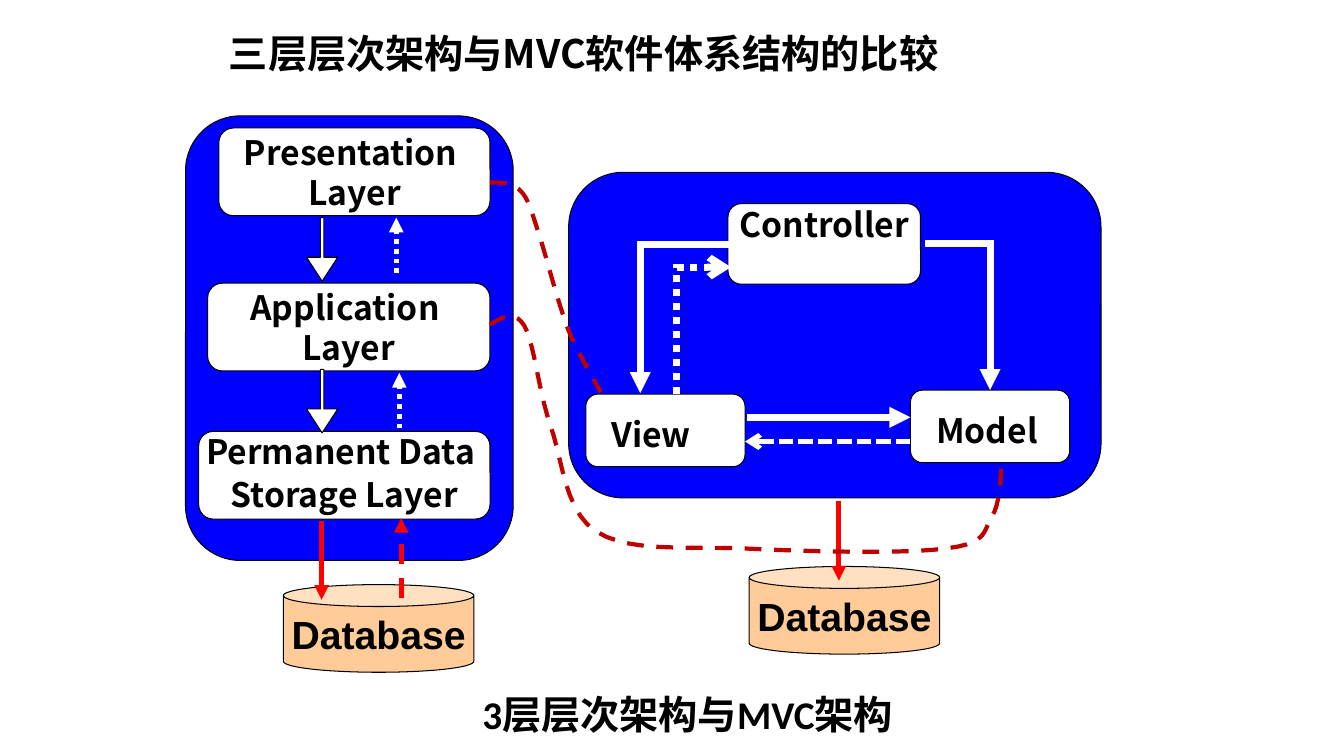
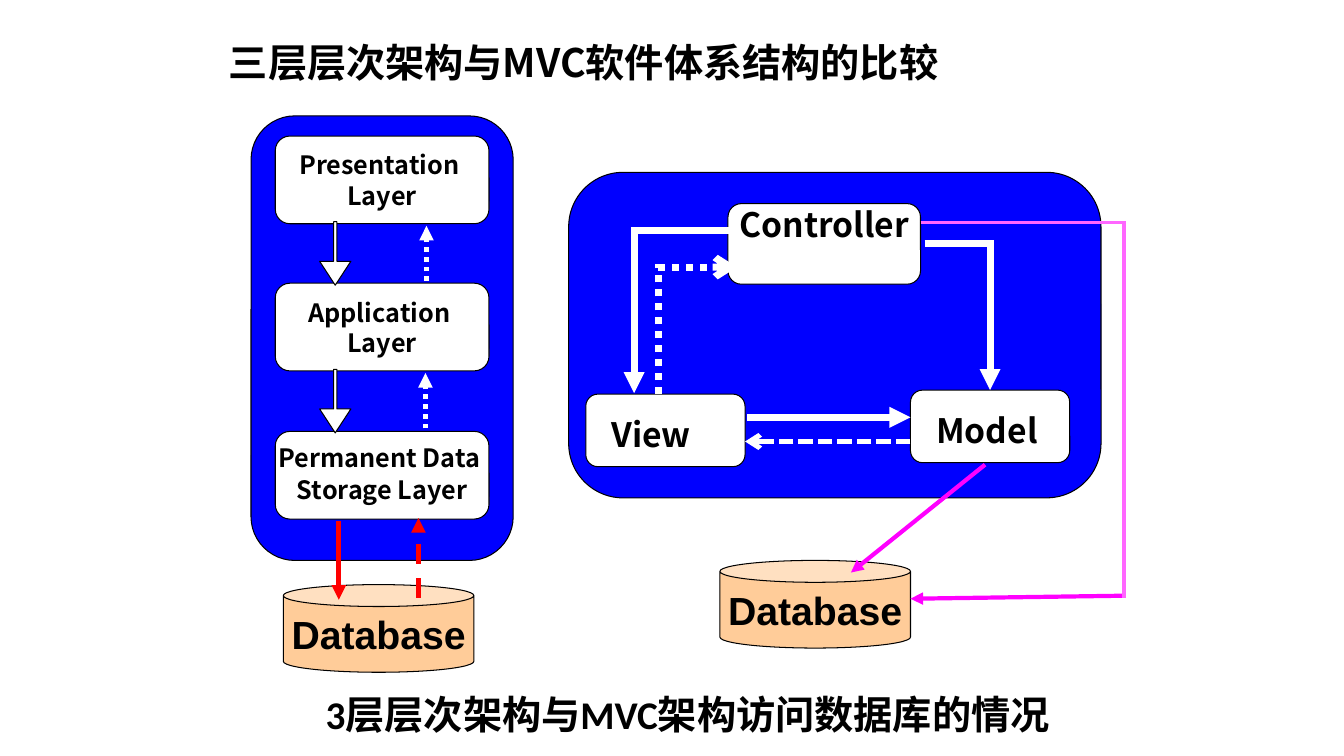
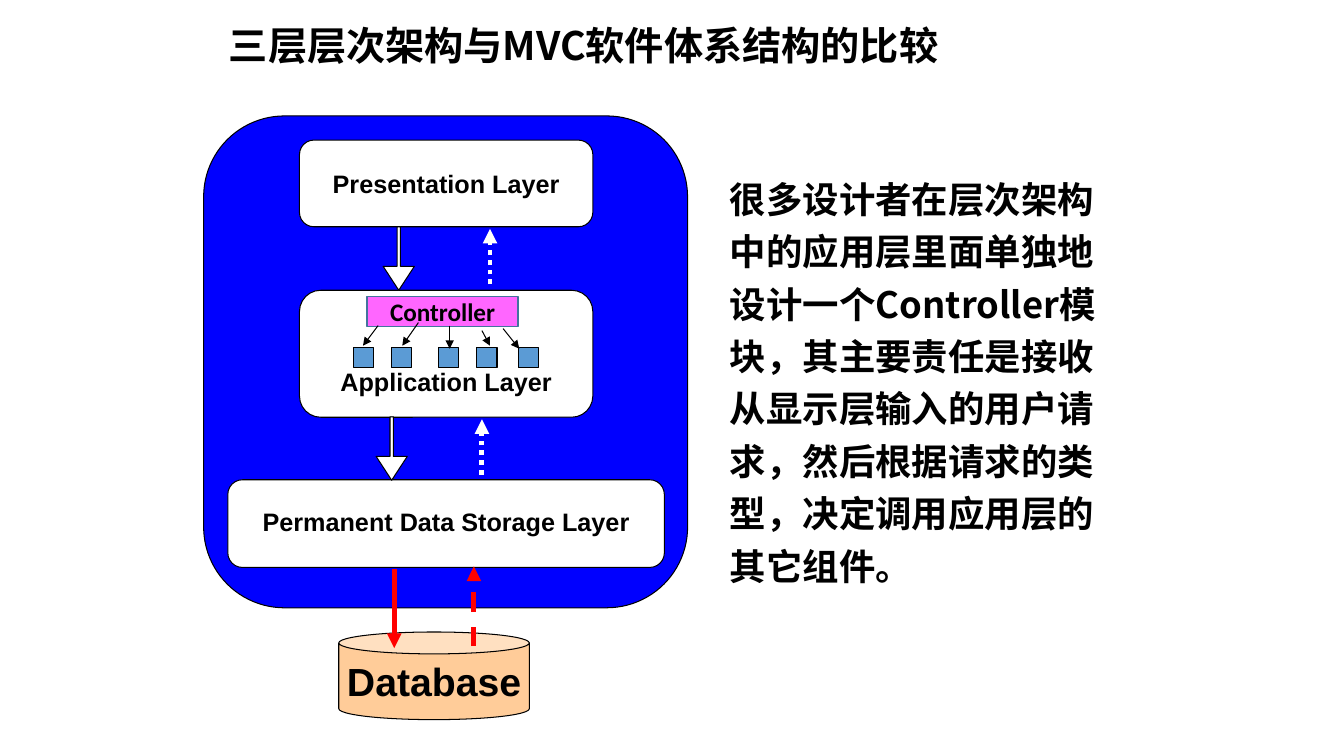
from math import hypot

from lxml import etree
from pptx import Presentation
from pptx import util as u
from pptx.dml.color import RGBColor
from pptx.enum import dml, shapes, text
from pptx.oxml.ns import qn

# Shared look
BLACK = RGBColor(0x00, 0x00, 0x00)
WHITE = RGBColor(0xFF, 0xFF, 0xFF)
BLUE = RGBColor(0x00, 0x00, 0xFF)
PEACH = RGBColor(0xFF, 0xCC, 0x99)
RED = RGBColor(0xFF, 0x00, 0x00)
DARK_RED = RGBColor(0xC0, 0x00, 0x00)
MAGENTA = RGBColor(0xFF, 0x00, 0xFF)
PINK = RGBColor(0xFF, 0x66, 0xFF)
SKY = RGBColor(0x5B, 0x9B, 0xD5)
STEEL = RGBColor(0x43, 0x73, 0x9E)
CJK, SANS, CAPTION_FONT = "Noto Sans CJK SC", "Arial", "Calibri"
PRESET = shapes.MSO_SHAPE
DASH, DOT, SHORT_DASH = dml.MSO_LINE.DASH, dml.MSO_LINE.ROUND_DOT, dml.MSO_LINE.SQUARE_DOT
ALIGN, ANCHOR = text.PP_ALIGN, text.MSO_ANCHOR
CORNER = 0.167
DATABASE_SIZE = (1.89, 0.87)

# Content
TITLE = "三层层次架构与MVC软件体系结构的比较"
NOTE = ("很多设计者在层次架构中的应用层里面单独地设计一个Controller模块，"
        "其主要责任是接收从显示层输入的用户请求，然后根据请求的类型，决定调用应用层的其它组件。")
SPLIT_NAMES = [["Presentation ", "Layer"], ["Application ", "Layer"],
               ["Permanent Data ", "Storage Layer"]]
LONG_NAMES = [["Presentation Layer"], ["Application Layer"], ["Permanent Data Storage Layer"]]

# Layer stacks: boxes are left, top, width, height; x values belong to the two gaps
STACKS = [
    dict(panel=(1.84, 1.15, 3.25, 4.41), names=SPLIT_NAMES, size=24, font=CJK,
         boxes=[(2.17, 1.27, 2.69, 0.87), (2.06, 2.81, 2.8, 0.87), (1.97, 4.28, 2.89, 0.87)],
         down_x=(3.04, 3.04), up_x=(3.93, 3.96), query_x=3.19, database=(2.81, 5.8)),
    dict(panel=(2.49, 1.15, 2.6, 4.41), names=SPLIT_NAMES, size=18, font=CJK,
         boxes=[(2.73, top, 2.12, 0.87) for top in (1.35, 2.81, 4.28)],
         down_x=(3.17, 3.17), up_x=(4.23, 4.22), query_x=3.36, database=(2.81, 5.8)),
    dict(panel=(2.02, 1.15, 4.8, 4.88), names=LONG_NAMES, size=18, font=SANS,
         boxes=[(2.97, 1.39, 2.91, 0.86), (2.97, 2.88, 2.91, 1.26), (2.26, 4.76, 4.33, 0.87)],
         down_x=(3.8, 3.73), up_x=(4.86, 4.78), query_x=3.91, database=(3.36, 6.27)),
]

# Curves: start point, then cubic segments (control, control, end)
CURVES = [
    ((4.86, 3.22), [((4.98, 3.15), (5.1, 3.07), (5.2, 3.23)),
                    ((5.3, 3.4), (5.34, 3.88), (5.46, 4.22)),
                    ((5.58, 4.56), (5.6, 5.07), (5.91, 5.27)),
                    ((6.23, 5.48), (6.78, 5.42), (7.36, 5.44)),
                    ((7.94, 5.47), (8.98, 5.5), (9.39, 5.44)),
                    ((9.81, 5.39), (9.75, 5.26), (9.84, 5.12)),
                    ((9.93, 4.99), (9.93, 4.62), (9.93, 4.62))]),
    ((4.86, 1.81), [((4.98, 1.81), (5.09, 1.81), (5.17, 1.9)),
                    ((5.25, 1.99), (5.27, 2.1), (5.35, 2.33)),
                    ((5.42, 2.56), (5.54, 3.02), (5.64, 3.28)),
                    ((5.75, 3.54), (5.96, 3.89), (5.96, 3.89))]),
]

# Components under the controller: square left edge, arrow start, arrow end
COMPONENTS = [
    (3.51, (3.75, 3.23), (3.6, 3.43)),
    (3.88, (4.15, 3.2), (3.99, 3.43)),
    (4.35, (4.46, 3.23), (4.46, 3.46)),
    (4.73, (4.78, 3.28), (4.86, 3.43)),
    (5.14, (4.99, 3.26), (5.15, 3.46)),
]


# Drawing helpers
def write_text(shape, lines, size, font=CJK, align=ALIGN.CENTER, anchor=ANCHOR.MIDDLE,
               insets=(0.1, 0.05, 0.1, 0.05), wrap=True, grow=False,
               line_spacing=None, space_before=0):
    frame = shape.text_frame
    frame.word_wrap = wrap
    frame.auto_size = text.MSO_AUTO_SIZE.SHAPE_TO_FIT_TEXT if grow else text.MSO_AUTO_SIZE.NONE
    frame.vertical_anchor = anchor
    (frame.margin_left, frame.margin_top,
     frame.margin_right, frame.margin_bottom) = map(u.Inches, insets)
    for index, line in enumerate(lines):
        paragraph = frame.add_paragraph() if index else frame.paragraphs[0]
        paragraph.alignment = align
        paragraph.space_before = u.Pt(space_before)
        if line_spacing:
            paragraph.line_spacing = line_spacing
        run = paragraph.add_run()
        run.text = line
        run.font.size, run.font.bold, run.font.name = u.Pt(size), True, font
        run.font.color.rgb = BLACK
        east_asian = etree.SubElement(run.font._element, qn("a:ea"))
        east_asian.set("typeface", CJK)


def place(shape, box):
    shape.left, shape.top, shape.width, shape.height = map(u.Inches, box)


def add_box(slide, preset, box, fill, line=BLACK, width=0.75, adjust=()):
    shape = slide.shapes.add_shape(preset, *map(u.Inches, box))
    shape.shadow.inherit = False
    shape.fill.solid()
    shape.fill.fore_color.rgb = fill
    shape.line.color.rgb = line
    shape.line.width = u.Pt(width)
    for index, value in enumerate(adjust):
        shape.adjustments[index] = value
    return shape


def add_round(slide, box, fill=WHITE):
    return add_box(slide, PRESET.ROUNDED_RECTANGLE, box, fill, adjust=[CORNER])


def add_route(slide, points, color, width, dash=None, head=None):
    """Straight connectors through the points; inner ends reach half a width further."""
    last = len(points) - 2
    for index, ((x1, y1), (x2, y2)) in enumerate(zip(points, points[1:])):
        if index < last:
            reach = width / 144 / hypot(x2 - x1, y2 - y1)
            x2, y2 = x2 + (x2 - x1) * reach, y2 + (y2 - y1) * reach
        connector = slide.shapes.add_connector(
            shapes.MSO_CONNECTOR.STRAIGHT, *map(u.Inches, (x1, y1, x2, y2)))
        connector.line.color.rgb = color
        connector.line.width = u.Pt(width)
        if dash:
            connector.line.dash_style = dash
        properties = connector.element.spPr
        if head and index == last:
            etree.SubElement(properties.find(qn("a:ln")), qn("a:tailEnd")).set("type", head)
        etree.SubElement(properties, qn("a:effectLst"))


def add_curve(slide, start, segments, steps=10):
    points, here = [], start
    for control1, control2, end in segments:
        for step in range(1, steps + 1):
            t = step / steps
            weights = ((1 - t) ** 3, 3 * t * (1 - t) ** 2, 3 * t * t * (1 - t), t ** 3)
            points.append(tuple(
                u.Inches(sum(w * p[axis] for w, p in zip(weights, (here, control1, control2, end))))
                for axis in (0, 1)))
        here = end
    builder = slide.shapes.build_freeform(*map(u.Inches, start))
    builder.add_line_segments(points, close=False)
    curve = builder.convert_to_shape()
    curve.shadow.inherit = False
    curve.fill.background()
    curve.line.color.rgb = DARK_RED
    curve.line.width = u.Pt(3)
    curve.line.dash_style = DASH


# Parts of the slides
def add_titled_slide(presentation, top):
    slide = presentation.slides.add_slide(presentation.slide_layouts[5])
    place(slide.shapes.title, (2.17, top, 9, 0.69))
    write_text(slide.shapes.title, [TITLE], 28, align=ALIGN.LEFT, line_spacing=0.9)
    return slide


def add_caption(slide, caption):
    box = slide.shapes.add_textbox(*map(u.Inches, (3.04, 6.8, 7.56, 0.57)))
    write_text(box, [caption], 28, font=CAPTION_FONT, grow=True)


def add_database(slide, left, top):
    can = add_box(slide, PRESET.CAN, (left, top, *DATABASE_SIZE), PEACH, adjust=[0.25])
    write_text(can, ["Database"], 28, font=SANS, wrap=False)


def add_stack(slide, panel, names, size, font, boxes, down_x, up_x, query_x, database):
    add_round(slide, panel, BLUE)
    for index, (box, lines) in enumerate(zip(boxes, names)):
        style = dict(size=size, font=font, wrap=False)
        if index == 2:
            style.update(line_spacing=0.9, space_before=size * 0.2)
        elif box[3] > 1:  # the tall box keeps room for components above its name
            style.update(anchor=ANCHOR.BOTTOM, insets=(0.1, 0.05, 0.1, 0.14))
        write_text(add_round(slide, box), lines, **style)
    # Calls down and answers up, in the gaps between layers
    for upper, lower, down, up in zip(boxes, boxes[1:], down_x, up_x):
        bottom = upper[1] + upper[3]
        middle = (bottom + lower[1]) / 2
        add_box(slide, PRESET.DOWN_ARROW, (down, middle - 0.315, 0.31, 0.63), WHITE,
                adjust=[0.106, 0.766])
        add_route(slide, [(up, bottom + 0.57), (up, bottom + 0.02)], WHITE, 3.5, DOT, "triangle")
    # Storage and its database
    add_database(slide, *database)
    bottom = boxes[-1][1] + boxes[-1][3]
    answer_x = query_x + 0.79
    add_route(slide, [(query_x, bottom + 0.02), (query_x, bottom + 0.8)], RED, 3.5,
              head="triangle")
    add_route(slide, [(answer_x, bottom + 0.78), (answer_x, bottom - 0.01)], RED, 3.5, DASH,
              "triangle")


def add_mvc(slide, view_corner, notify_x, notify_end, database):
    add_round(slide, (5.64, 1.71, 5.28, 3.23), BLUE)
    for name, left, top in (("Model", 9.03, 3.87), ("View", 5.81, 3.91)):
        write_text(add_round(slide, (left, top, 1.58, 0.72)), [name], 24, align=ALIGN.LEFT,
                   insets=(0.22, 0.03, 0.07, 0.03), line_spacing=1.2)
    write_text(add_round(slide, (7.22, 2.02, 1.91, 0.8)), ["Controller"], 24,
               insets=(0.07, 0, 0.07, 0.4))
    add_database(slide, *database)
    corner_x, corner_y = view_corner
    for points in ([(7.41, 4.14), (9.03, 4.14)],
                   [(9.17, 2.42), (9.82, 2.42), (9.82, 3.87)],
                   [(7.24, corner_y), view_corner, (corner_x, 3.9)]):
        add_route(slide, points, WHITE, 5, head="triangle")
    add_route(slide, [(9.03, 4.38), (7.39, 4.38)], WHITE, 3.5, SHORT_DASH, "arrow")
    add_route(slide, [(notify_x, 3.91), (notify_x, 2.65), (notify_end, 2.65)], WHITE, 5, DOT,
              "arrow")


def main():
    presentation = Presentation()
    presentation.slide_width, presentation.slide_height = u.Inches(13.33), u.Inches(7.5)

    # Slide 1: the two architectures and their matching parts
    slide = add_titled_slide(presentation, 0.21)
    add_mvc(slide, (6.35, 2.43), 6.71, 7.25, (7.43, 5.62))
    add_stack(slide, **STACKS[0])
    add_route(slide, [(8.32, 4.97), (8.32, 5.76)], RED, 3.5, head="triangle")
    for start, segments in CURVES:
        add_curve(slide, start, segments)
    add_caption(slide, "3层层次架构与MVC架构")

    # Slide 2: how each one reaches the database
    slide = add_titled_slide(presentation, 0.3)
    add_mvc(slide, (6.29, 2.29), 6.53, 7.31, (7.14, 5.56))
    add_stack(slide, **STACKS[1])
    add_route(slide, [(9.77, 4.61), (8.44, 5.68)], MAGENTA, 3, head="triangle")
    add_route(slide, [(11.15, 5.91), (9.03, 5.94)], MAGENTA, 3, head="triangle")
    add_route(slide, [(9.13, 2.21), (11.15, 2.21), (11.15, 5.93)], PINK, 2.5)
    add_caption(slide, "3层层次架构与MVC架构访问数据库的情况")

    # Slide 3: a controller inside the application layer
    slide = add_titled_slide(presentation, 0.13)
    add_stack(slide, **STACKS[2])
    controller = add_box(slide, PRESET.RECTANGLE, (3.64, 2.94, 1.5, 0.3), PINK, STEEL, 1)
    write_text(controller, ["Controller"], 18, font=CAPTION_FONT, insets=(0, 0, 0, 0), grow=True)
    for left, start, end in COMPONENTS:
        add_box(slide, PRESET.RECTANGLE, (left, 3.45, 0.2, 0.2), SKY)
        add_route(slide, [start, end], BLACK, 0.75, head="triangle")
    note = slide.shapes.add_textbox(*map(u.Inches, (7.14, 1.62, 4.1, 4.3)))
    write_text(note, [NOTE], 26, align=ALIGN.LEFT, anchor=ANCHOR.TOP, grow=True,
               line_spacing=1.2, space_before=6)

    presentation.save("out.pptx")


if __name__ == "__main__":
    main()
